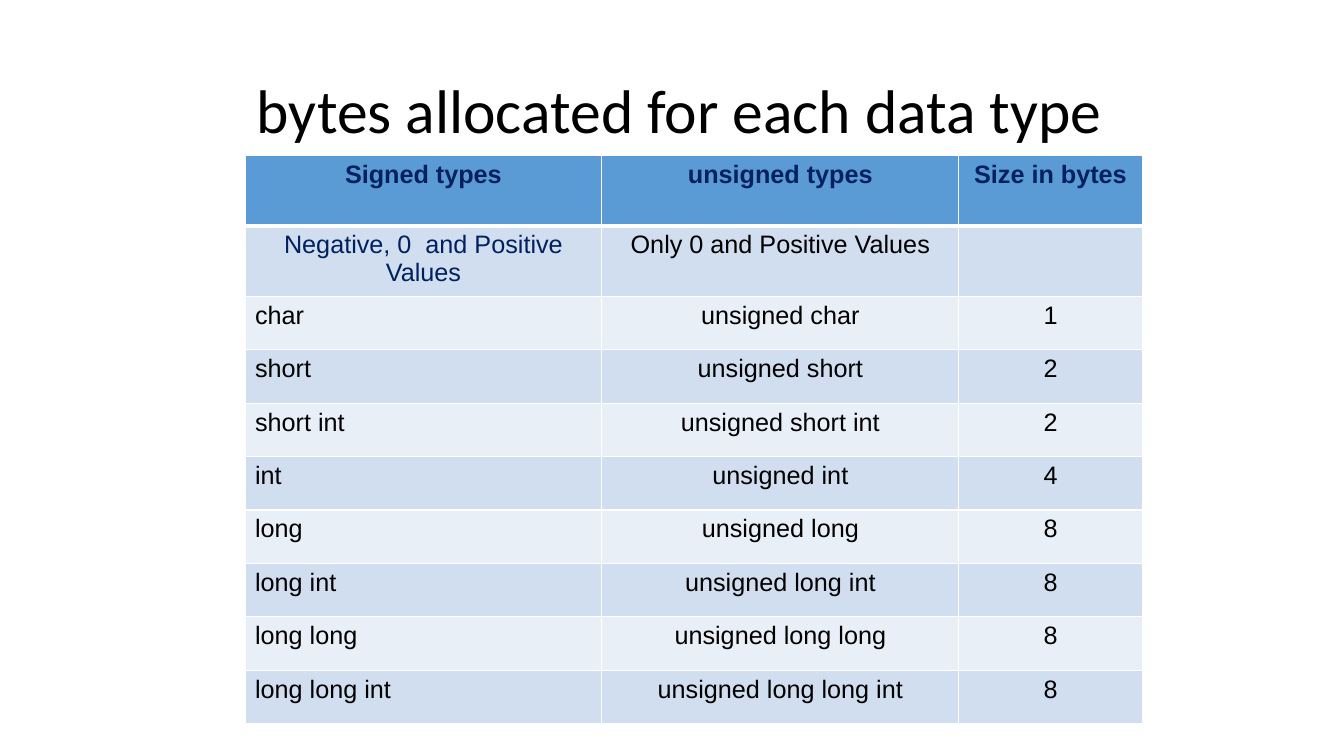
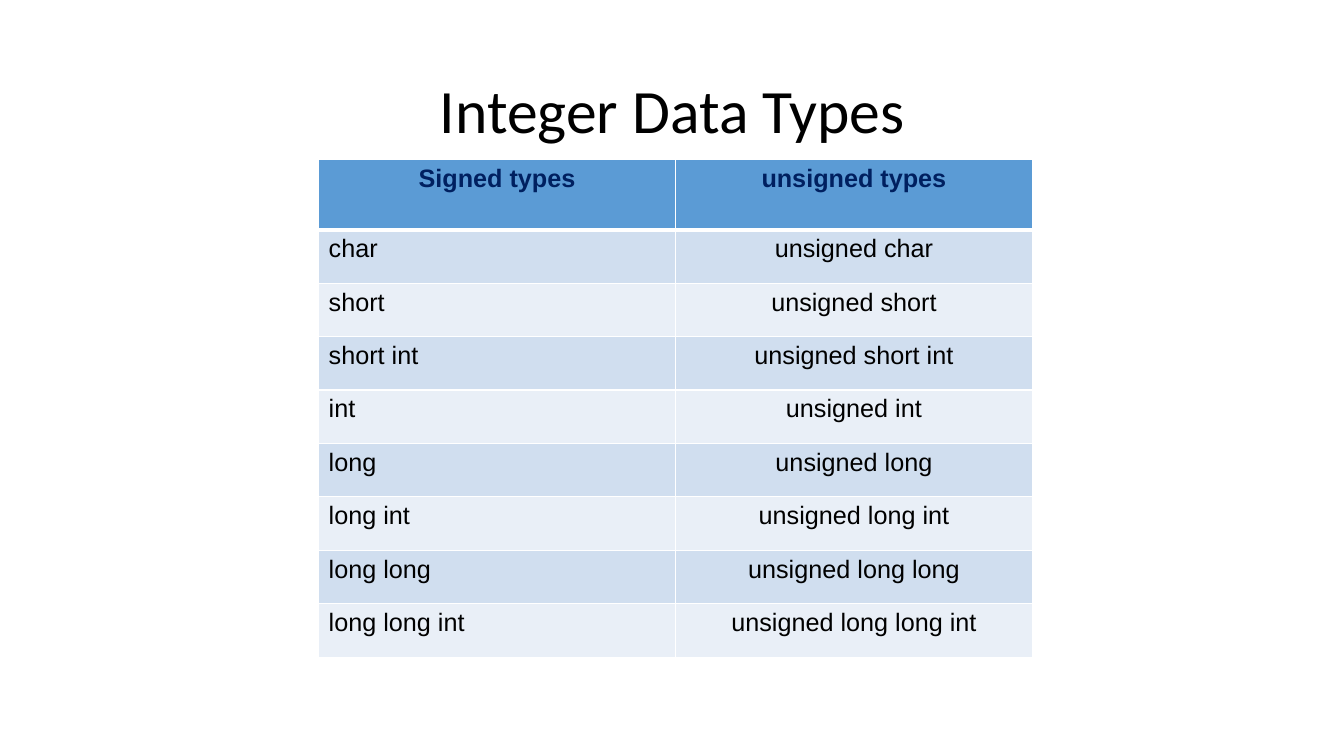
from lxml.etree import SubElement
from pptx import Presentation
from pptx.dml.color import RGBColor
from pptx.enum.text import MSO_ANCHOR as Anchor, PP_ALIGN as Align
from pptx.oxml.ns import qn
from pptx.util import Inches, Pt


def color(value):
    return RGBColor.from_string(value)


def write_text(frame, text, *, font, size, fill, bold=False, align=Align.CENTER, spacing=None):
    frame.word_wrap = True
    paragraph = frame.paragraphs[0]
    paragraph.alignment = align
    paragraph.line_spacing = spacing
    paragraph.font.size = Pt(size)
    if text:
        run = paragraph.add_run()
        run.text = text
        run.font.name = font
        run.font.size = Pt(size)
        run.font.bold = bold
        run.font.color.rgb = color(fill)


def draw_borders(cell, value, widths):
    properties = cell._tc.get_or_add_tcPr()
    for side, width in widths.items():
        line = SubElement(properties, qn(f"a:ln{side}"), w=str(Pt(width)))
        solid = SubElement(line, qn("a:solidFill"))
        SubElement(solid, qn("a:srgbClr"), val=value)


class Deck:
    BLACK, WHITE, NAVY, HEADER = "000000", "FFFFFF", "002060", "5B9BD5"
    BANDS = ("D0DEEF", "E9EFF7")
    TITLE_FONT, TABLE_FONT = "Calibri", "Arial"
    HEADER_HEIGHT, ROW_HEIGHT = 0.7, 0.53

    def __init__(self):
        self.presentation = Presentation()
        self.presentation.slide_width = Inches(13.33)
        self.presentation.slide_height = Inches(7.5)
        self.slide = None

    def add_slide(self, title, left=0.92):
        self.slide = self.presentation.slides.add_slide(self.presentation.slide_layouts[5])
        shape = self.slide.shapes.title
        shape.left, shape.top = Inches(left), Inches(0.4)
        shape.width, shape.height = Inches(11.5), Inches(1.45)
        shape.text_frame.vertical_anchor = Anchor.MIDDLE
        write_text(shape.text_frame, title, font=self.TITLE_FONT, size=44,
                   fill=self.BLACK, spacing=0.9)

    def add_table(self, left, top, widths, rows, tall_rows=1, centered=(), navy=()):
        heights = [self.HEADER_HEIGHT if index < tall_rows else self.ROW_HEIGHT
                   for index in range(len(rows))]
        table = self.slide.shapes.add_table(
            len(rows), len(widths), Inches(left), Inches(top),
            Inches(sum(widths)), Inches(sum(heights))).table
        for column, width in zip(table.columns, widths):
            column.width = Inches(width)
        for row, height in zip(table.rows, heights):
            row.height = Inches(height)
        for row_index, row in enumerate(rows):
            for column_index, text in enumerate(row):
                self.fill_cell(table, row_index, column_index, text, centered, navy)

    def fill_cell(self, table, row, column, text, centered, navy):
        cell = table.cell(row, column)
        header = row == 0
        draw_borders(cell, self.WHITE, {"L": 1, "R": 1, "T": 3 if row == 1 else 1,
                                        "B": 3 if header else 1})
        cell.fill.solid()
        cell.fill.fore_color.rgb = color(self.HEADER if header else self.BANDS[(row - 1) % 2])
        middle = header or column > 0 or (row, column) in centered
        write_text(cell.text_frame, text, font=self.TABLE_FONT, size=18, bold=header,
                   fill=self.NAVY if header or (row, column) in navy else self.BLACK,
                   align=Align.CENTER if middle else Align.LEFT)

    def save(self):
        self.presentation.save("out.pptx")


SIZES = {"char": 1, "short": 2, "short int": 2, "int": 4, "long": 8,
         "long int": 8, "long long": 8, "long long int": 8}
HEADINGS = ("Signed types", "unsigned types")
TYPE_WIDTH = 3.54


def main():
    deck = Deck()

    deck.add_slide("bytes allocated for each data type", left=0.99)
    ranges = ("Negative, 0  and Positive Values", "Only 0 and Positive Values", "")
    sizes = [(name, f"unsigned {name}", str(size)) for name, size in SIZES.items()]
    deck.add_table(2.43, 1.54, (TYPE_WIDTH, TYPE_WIDTH, 1.82),
                   [(*HEADINGS, "Size in bytes"), ranges, *sizes],
                   tall_rows=2, centered={(1, 0)}, navy={(1, 0)})

    deck.add_slide("Integer Data Types")
    deck.add_table(3.16, 1.58, (TYPE_WIDTH, TYPE_WIDTH),
                   [HEADINGS, *((name, f"unsigned {name}") for name in SIZES)])

    deck.save()


if __name__ == "__main__":
    main()
